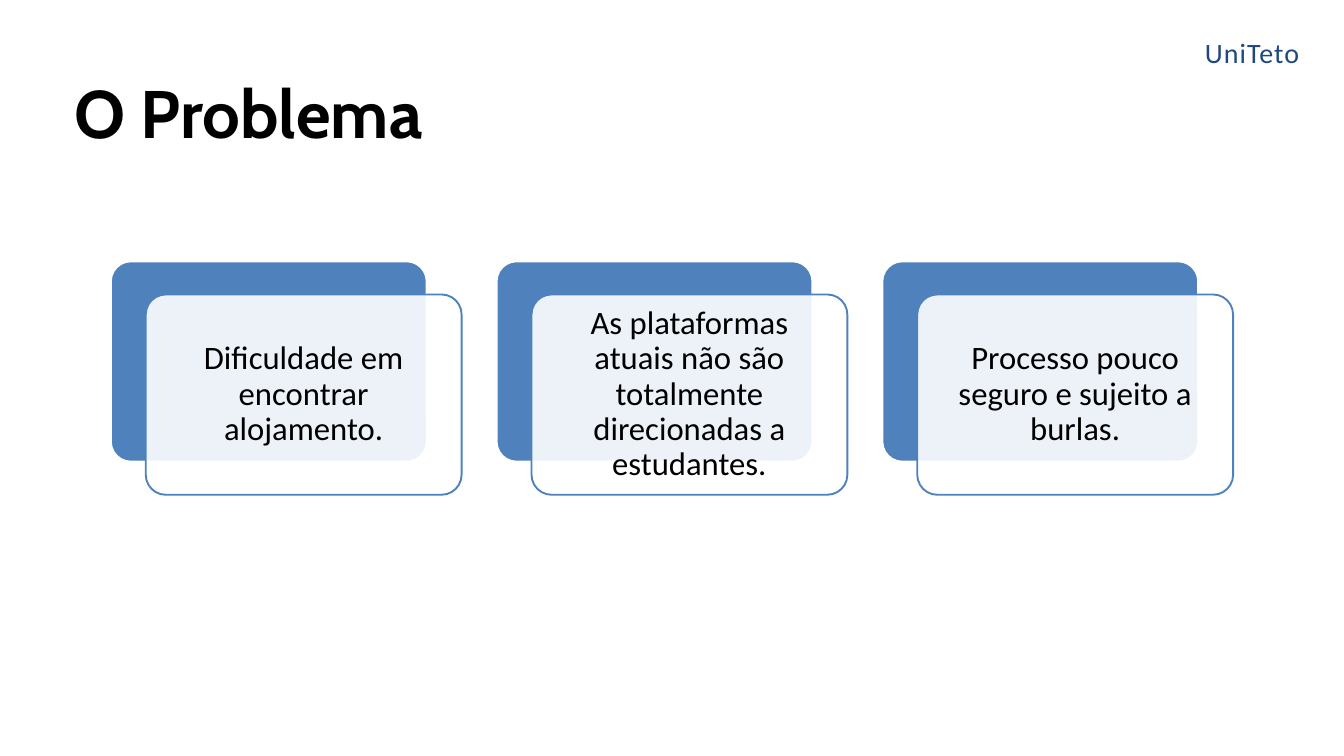
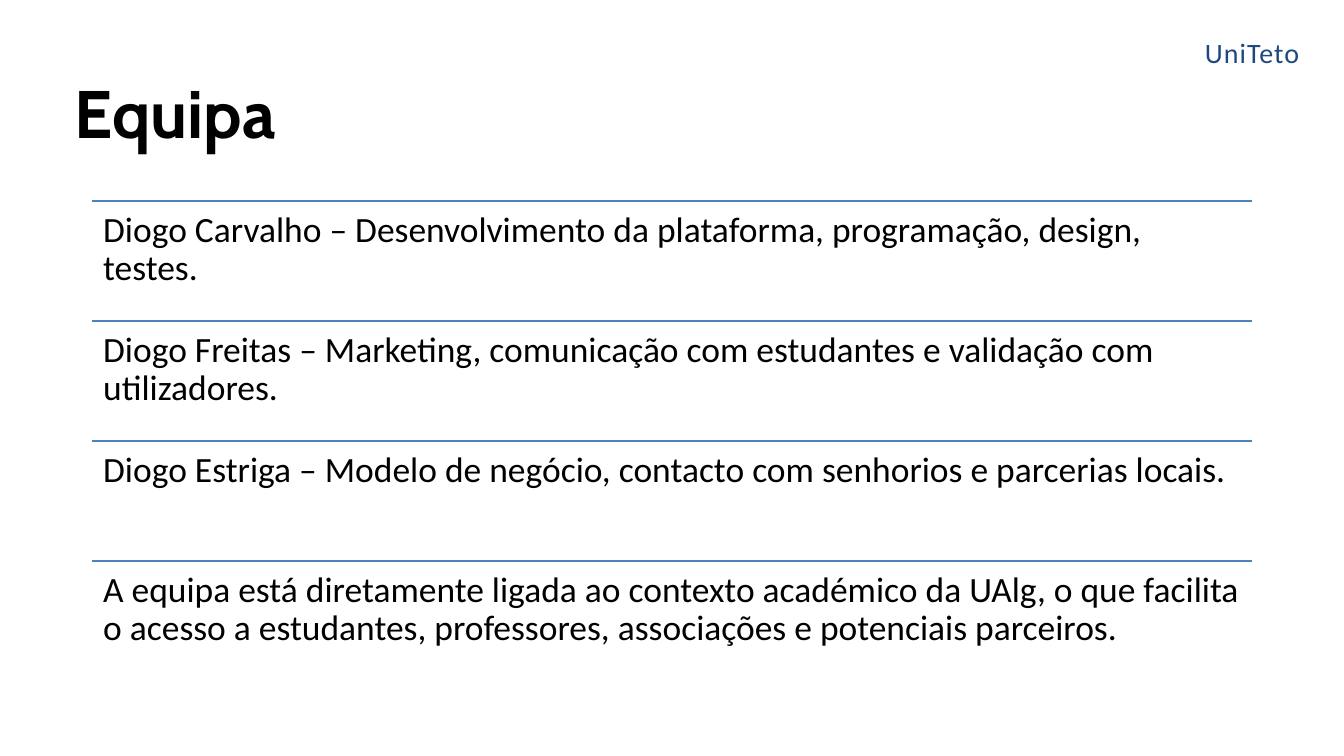
from lxml import etree
from pptx import Presentation
from pptx.dml.color import RGBColor
from pptx.enum import shapes as s, text as t
from pptx.oxml import ns
from pptx.util import Pt

BLUE, NAVY, BLACK, WHITE = "4F81BD", "1F497D", "000000", "FFFFFF"


def hue(code):
    return RGBColor.from_string(code)


def write(shape, words, size, font="Calibri", color=BLACK, bold=False, inset=0,
          align=t.PP_ALIGN.LEFT, anchor=t.MSO_ANCHOR.TOP, spacing=0.9, track=0):
    frame = shape.text_frame
    frame.word_wrap = True
    frame.vertical_anchor = anchor
    frame.margin_left = frame.margin_right = Pt(inset)
    frame.margin_top = frame.margin_bottom = Pt(inset)
    para = frame.paragraphs[0]
    para.alignment = align
    para.line_spacing = spacing
    run = para.add_run()
    run.text = words
    run.font.name, run.font.size, run.font.bold = font, Pt(size), bold
    run.font.color.rgb = hue(color)
    if track:
        run.font._element.set("spc", str(track))


deck = Presentation()
deck.slide_width, deck.slide_height = Pt(1440), Pt(810)

pages = []
for name in ("O Problema", "Equipa"):
    page = deck.slides.add_slide(deck.slide_layouts[5])
    title = page.shapes.title
    title.left, title.top, title.width, title.height = Pt(80), Pt(76.3), Pt(975.6), Pt(88.6)
    write(title, name, 72, font="Cabin", bold=True, spacing=1.0)
    title.text_frame.auto_size = t.MSO_AUTO_SIZE.SHAPE_TO_FIT_TEXT
    brand = page.shapes.add_textbox(Pt(1283.8), Pt(38.9), Pt(124.6), Pt(43.2))
    write(brand, "UniTeto", 30, color=NAVY, inset=7.2, anchor=t.MSO_ANCHOR.BOTTOM, track=120)
    pages.append(page)
issue, team = pages

issues = (
    "Dificuldade em encontrar alojamento.",
    "As plataformas atuais não são totalmente direcionadas a estudantes.",
    "Processo pouco seguro e sujeito a burlas.",
)
for i, words in enumerate(issues):
    left = 118.8 + 413.3 * i
    for dx, dy, fill, edge in ((0, 0, BLUE, WHITE), (37.4, 35.5, WHITE, BLUE)):
        card = issue.shapes.add_shape(s.MSO_SHAPE.ROUNDED_RECTANGLE,
                                      Pt(left + dx), Pt(280 + dy), Pt(338.4), Pt(214.6))
        card.adjustments[0] = 0.1
        card.shadow.inherit = False
        card.fill.solid()
        card.fill.fore_color.rgb = hue(fill)
        card.line.color.rgb = hue(edge)
        card.line.width = Pt(2)
    tint = card._element.spPr.find(ns.qn("a:solidFill"))[0]
    etree.SubElement(tint, ns.qn("a:alpha"), val="90000")
    write(card, words, 35, inset=10.8, align=t.PP_ALIGN.CENTER, anchor=t.MSO_ANCHOR.MIDDLE)

roles = (
    "Diogo Carvalho – Desenvolvimento da plataforma, programação, design, testes.",
    "Diogo Freitas – Marketing, comunicação com estudantes e validação com utilizadores.",
    "Diogo Estriga – Modelo de negócio, contacto com senhorios e parcerias locais.",
    "A equipa está diretamente ligada ao contexto académico da UAlg, o que facilita "
    "o acesso a estudantes, professores, associações e potenciais parceiros.",
)
for i, words in enumerate(roles):
    top = 215.4 + 128.6 * i
    rule = team.shapes.add_connector(s.MSO_CONNECTOR.STRAIGHT, Pt(99), Pt(top), Pt(1341), Pt(top))
    rule.line.color.rgb = hue(BLUE)
    rule.line.width = Pt(2)
    etree.SubElement(rule._element.spPr, ns.qn("a:effectLst"))
    role = team.shapes.add_textbox(Pt(99), Pt(top), Pt(1242), Pt(128.6))
    write(role, words, 38, inset=11.5)

deck.save("out.pptx")
